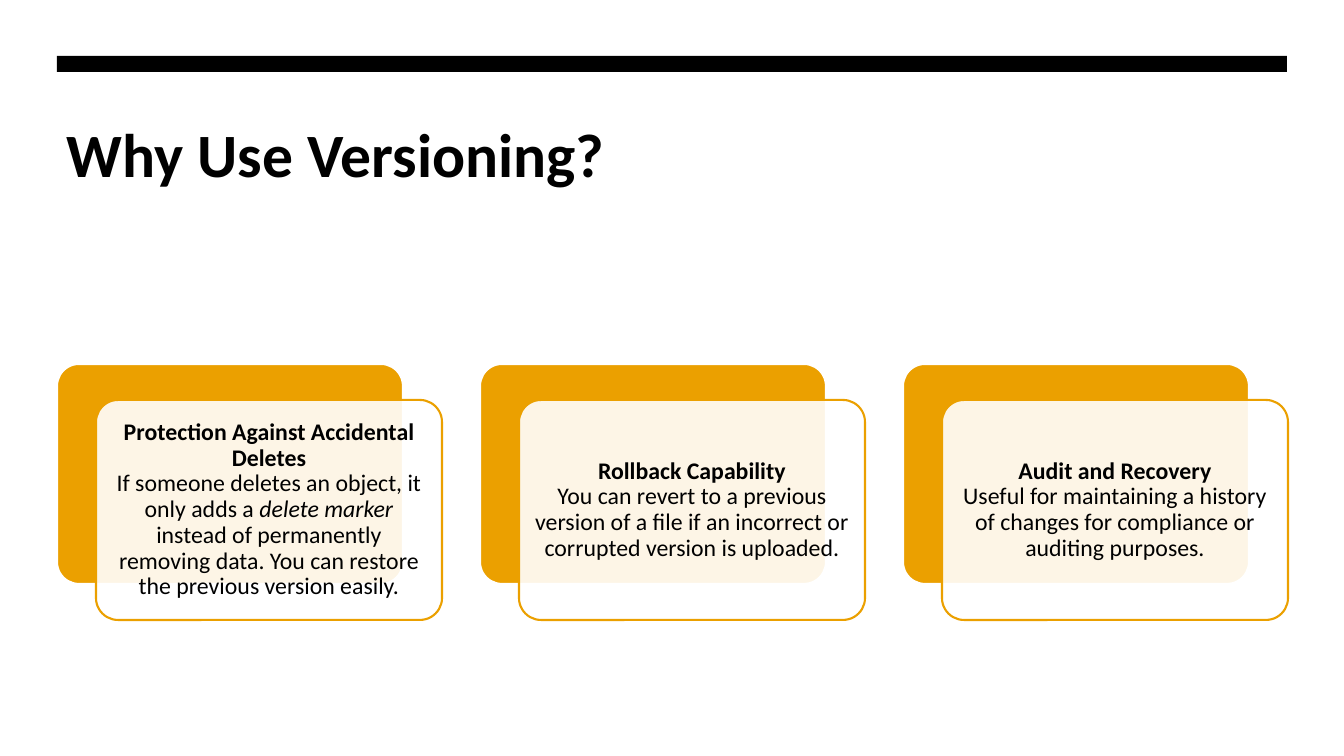
from pptx import Presentation
from pptx.dml.color import RGBColor
from pptx.enum.shapes import MSO_SHAPE
from pptx.enum.text import MSO_ANCHOR, PP_ALIGN
from pptx.oxml.ns import qn
from pptx.util import Pt
from lxml import etree

RECT = MSO_SHAPE.RECTANGLE
ROUND = MSO_SHAPE.ROUNDED_RECTANGLE
MIDDLE = MSO_ANCHOR.MIDDLE
CENTER = PP_ALIGN.CENTER
COLORS = {"black": "000000", "white": "FFFFFF", "gold": "EBA000"}
CARDS = [
    ("Protection Against Accidental Deletes", [
        ("If someone deletes an object, it only adds a ", False),
        ("delete marker", True),
        (" instead of permanently removing data. You can restore the previous version easily.", False)]),
    ("Rollback Capability", [
        ("You can revert to a previous version of a file if an incorrect or corrupted version is uploaded.", False)]),
    ("Audit and Recovery", [
        ("Useful for maintaining a history of changes for compliance or auditing purposes.", False)]),
]
LEFT, TOP, STEP = 57, 364, 423
WIDE, HIGH = 346, 220


def px(n):
    return round(n * 914400 / 100.8)


def block(kind, x, y, w, h, fill, line=None):
    shape = slide.shapes.add_shape(kind, px(x), px(y), px(w), px(h))
    shape.shadow.inherit = False
    shape.fill.solid()
    shape.fill.fore_color.rgb = RGBColor.from_string(COLORS[fill])
    if line:
        shape.adjustments[0] = 0.1
        shape.line.color.rgb = RGBColor.from_string(COLORS[line])
        shape.line.width = Pt(1.5)
    else:
        shape.line.fill.background()
    return shape


deck = Presentation()
deck.slide_width, deck.slide_height = px(1344), px(756)
slide = deck.slides.add_slide(deck.slide_layouts[6])

block(RECT, LEFT, 56, 1230, 16, "black")

title = slide.shapes.add_textbox(px(LEFT), px(111), px(1230), px(161))
title.text_frame.word_wrap = True
para = title.text_frame.paragraphs[0]
para.text = "Why Use Versioning?"
para.font.name, para.font.size, para.font.bold = "Calibri", Pt(44), True
para.font.color.rgb = RGBColor.from_string(COLORS["black"])

for i, (head, parts) in enumerate(CARDS):
    x = LEFT + i * STEP
    block(ROUND, x, TOP, WIDE, HIGH, "gold", "white")
    card = block(ROUND, x + 39, TOP + 36, WIDE, HIGH, "white", "gold")
    tint = card.fill._xPr.find(qn("a:solidFill"))[0]
    etree.SubElement(tint, qn("a:alpha"), val="90000")

    frame = card.text_frame
    frame.word_wrap = True
    frame.vertical_anchor = MIDDLE
    frame.margin_left = frame.margin_right = px(7)
    frame.margin_top = frame.margin_bottom = px(7)
    para = frame.paragraphs[0]
    para.alignment = CENTER
    para.line_spacing = 0.9
    para.font.name, para.font.size = "Calibri", Pt(17)
    para.font.color.rgb = RGBColor.from_string(COLORS["black"])
    run = para.add_run()
    run.text = head
    run.font.bold = True
    para.add_line_break()
    for text, slant in parts:
        run = para.add_run()
        run.text = text
        if slant:
            run.font.italic = True

deck.save("out.pptx")
